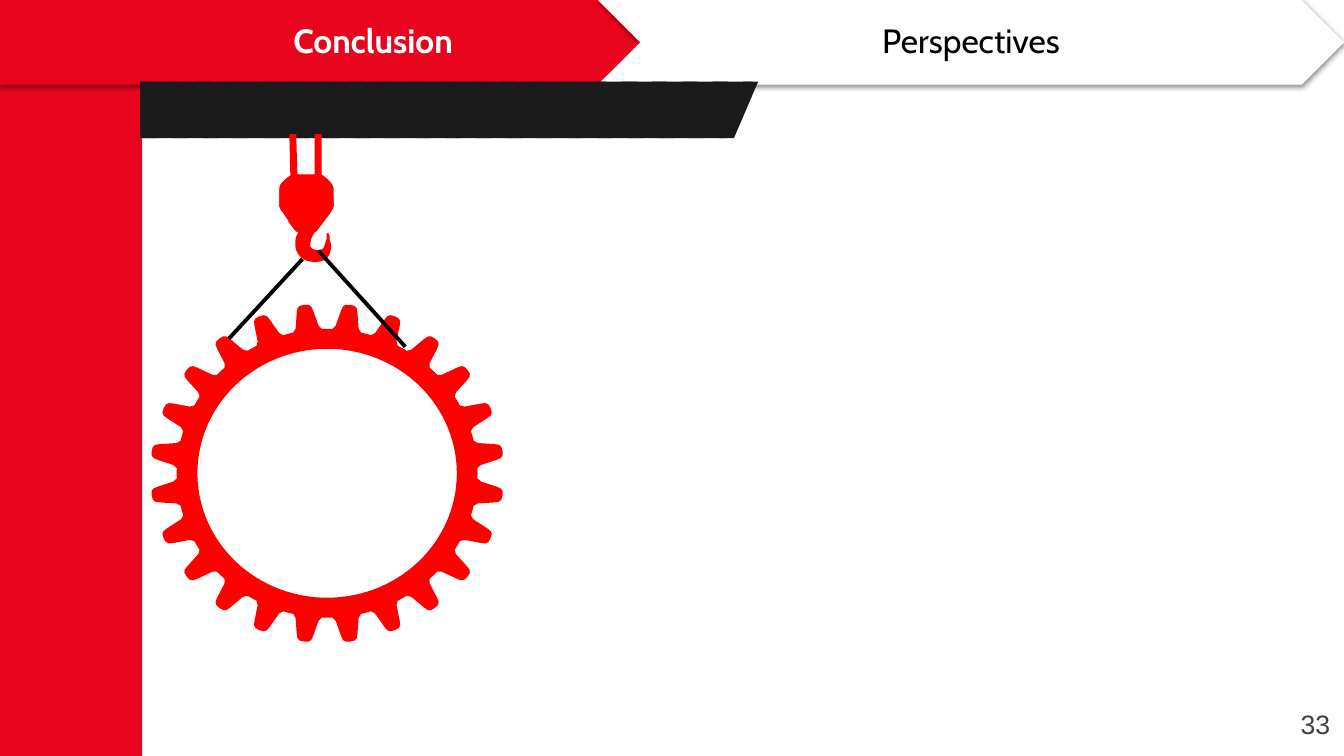
from math import cos, radians, sin

from lxml.etree import SubElement
from pptx import Presentation
from pptx.dml.color import RGBColor
from pptx.enum.shapes import MSO_CONNECTOR, MSO_SHAPE
from pptx.enum.text import MSO_ANCHOR, MSO_AUTO_SIZE, PP_ALIGN
from pptx.oxml.ns import qn
from pptx.util import Inches, Pt

WIDE, HIGH = 13.33, 7.5
SIDE = 1.41
BAR = 0.84
RED, BRIGHT, BLACK = "E9041E", "FF0000", "010101"
DARK, WHITE, GREY = "1A1A1A", "FFFFFF", "414141"

# Half a tooth: degrees from its middle, share of the outer radius
TOOTH = [(0, 1), (1.5, 0.997), (2.3, 0.985), (2.8, 0.96),
         (4.3, 0.87), (5.5, 0.85), (7.5, 0.85)]
TEETH = 24

# Hook in hundredths of an inch: pairs are corners, sixes are curves
HOOK = [(10, 0), (17, 0), (17, 6), (18, 40), (35, 40), (35, 0), (42, 0),
        (42, 40), (47, 44), (50, 47), (52, 49, 54, 52, 54, 55), (54, 70),
        (54, 73, 53, 75, 51, 77), (38, 95), (38, 96, 36, 97, 35, 97),
        (35, 98), (33, 100, 30, 107, 31, 112), (33, 116, 42, 116, 44, 113),
        (45, 111, 46, 107, 47, 104), (47, 100), (47, 98, 49, 98, 49, 99),
        (50, 100, 50, 102, 50, 103), (50, 105), (51, 107, 53, 114, 49, 121),
        (46, 127, 36, 128, 28, 126), (19, 123, 15, 115, 16, 107),
        (16, 104, 17, 100, 19, 98), (15, 95), (3, 77), (1, 75, 0, 73, 0, 70),
        (0, 55), (0, 52, 1, 49, 4, 47), (7, 44), (11, 41)]
SHINE = [[(53, 55), (54, 71), (51, 78), (38, 95), (36, 97), (30, 97)],
         [(34, 40), (46, 44), (17, 97), (9, 87)],
         [(20, 40), (2, 75), (0, 71), (0, 56), (4, 48), (11, 42)]]


def color(code):
    return RGBColor.from_string(code)


def paint(shape, fill):
    shape.shadow.inherit = False
    shape.fill.solid()
    shape.fill.fore_color.rgb = color(fill)
    shape.line.fill.background()
    return shape


def block(slide, kind, box, fill):
    return paint(slide.shapes.add_shape(kind, *map(Inches, box)), fill)


def outline(slide, loops, fill):
    """Draw closed loops of points in inches as one shape."""
    loops = [[(Inches(x), Inches(y)) for x, y in loop] for loop in loops]
    pen = slide.shapes.build_freeform(*loops[0][0])
    for num, loop in enumerate(loops):
        if num:
            pen.move_to(*loop[0])
        pen.add_line_segments(loop[1:], close=True)
    return paint(pen.convert_to_shape(), fill)


def write(slide, words, box, size, font, ink, bold=False, inset=0.03,
          anchor=MSO_ANCHOR.MIDDLE, wrap=True, space=None):
    frame = slide.shapes.add_textbox(*map(Inches, box)).text_frame
    frame.word_wrap = wrap
    frame.auto_size = MSO_AUTO_SIZE.SHAPE_TO_FIT_TEXT
    frame.vertical_anchor = anchor
    frame.margin_left = frame.margin_right = Inches(inset)
    frame.margin_top = frame.margin_bottom = Inches(inset)
    line = frame.paragraphs[0]
    line.alignment = PP_ALIGN.CENTER
    line.line_spacing = space
    run = line.add_run()
    run.text = words
    run.font.size, run.font.name, run.font.bold = Pt(size), font, bold
    run.font.color.rgb = color(ink)


def shade(shape):
    """Give the shape a soft shadow straight below it."""
    effects = shape._element.spPr.find(qn("a:effectLst"))
    drop = SubElement(effects, qn("a:outerShdw"), blurRad=str(Pt(3)),
                      dist=str(Pt(1.6)), dir="5400000", algn="t",
                      rotWithShape="0")
    tint = SubElement(drop, qn("a:srgbClr"), val="000000")
    SubElement(tint, qn("a:alpha"), val="38000")


def tab(slide, kind, box, words, fill, ink, inset, bold=False):
    left, top, width, height = box
    shape = block(slide, kind, box, fill)
    shape.adjustments[0] = 0.5
    shade(shape)
    label = (left + inset, top + (height - 0.47) / 2,
             width - 2 * inset, 0.47)
    write(slide, words, label, 24, "Cabin", ink, bold=bold, space=0.9)


def beam(slide, box):
    left, top, width, height = box
    right, base = left + width, top + height
    outline(slide, [[(left, top), (right - 0.06, top),
                     (right - 0.32, base), (left, base)]], DARK)
    slant, stripe, step = 0.24, 0.15, 0.301
    ends = [right - step * num for num in range(20)]
    bands = [[(x - stripe, top), (x, top), (x - slant, base),
              (x - slant - stripe, base)] for x in ends]
    bands.append([(left, top), (left + 0.11, top), (left, top + 0.25)])
    outline(slide, bands, DARK)


def gear(slide, box):
    left, top, width, height = box

    def spot(angle, share):
        turn = radians(angle)
        return (left + width / 2 * (1 + share * sin(turn)),
                top + height / 2 * (1 - share * cos(turn)))

    pitch = 360 / TEETH
    whole = [(-turn, share) for turn, share in TOOTH[:0:-1]] + TOOTH[:-1]
    rim = [spot((num + 0.5) * pitch + turn, share)
           for num in range(TEETH) for turn, share in whole]
    hole = [spot(-angle, 0.733) for angle in range(0, 360, 3)]
    outline(slide, [rim, hole], BRIGHT)


def trace(steps, parts=6):
    """Turn corners and cubic curves into a plain list of points."""
    points = []
    for step in steps:
        if len(step) == 2:
            points.append(step)
            continue
        knots = [points[-1], step[:2], step[2:4], step[4:]]
        for num in range(1, parts + 1):
            t = num / parts
            mix = ((1 - t) ** 3, 3 * t * (1 - t) ** 2,
                   3 * t * t * (1 - t), t ** 3)
            points.append(tuple(sum(m * k[axis] for m, k in zip(mix, knots))
                                for axis in (0, 1)))
    return points


def hook(slide, box):
    left, top, width, height = box
    for loops in ([trace(HOOK)], SHINE):
        outline(slide, [[(left + x / 54 * width, top + y / 127 * height)
                         for x, y in loop] for loop in loops], BRIGHT)


def rope(slide, start, end):
    line = slide.shapes.add_connector(MSO_CONNECTOR.STRAIGHT,
                                      *map(Inches, start + end))
    line.line.color.rgb = color(BLACK)
    line.line.width = Pt(2.75)
    SubElement(line._element.spPr, qn("a:effectLst"))


def main():
    deck = Presentation()
    deck.slide_width, deck.slide_height = Inches(WIDE), Inches(HIGH)
    slide = deck.slides.add_slide(deck.slide_layouts[6])
    block(slide, MSO_SHAPE.RECTANGLE, (0, 0, SIDE, HIGH), RED)
    tab(slide, MSO_SHAPE.PENTAGON, (0, 0, 7.4, BAR), "Conclusion",
        RED, WHITE, 0.11, bold=True)
    tab(slide, MSO_SHAPE.CHEVRON, (WIDE - 7.4, 0, 7.4, BAR), "Perspectives",
        WHITE, BLACK, 0.46)
    beam(slide, (1.39, 0.81, 6.13, 0.56))
    gear(slide, (1.49, 3.01, 3.51, 3.37))
    hook(slide, (2.77, 1.33, 0.54, 1.27))
    rope(slide, (2.27, 3.36), (3, 2.57))
    rope(slide, (4.02, 3.44), (3.16, 2.49))
    write(slide, "33", (12.84, 6.97, 0.41, 0.42), 19, "Arial", GREY,
          inset=0.05, anchor=MSO_ANCHOR.TOP, wrap=False)
    deck.save("out.pptx")


if __name__ == "__main__":
    main()
